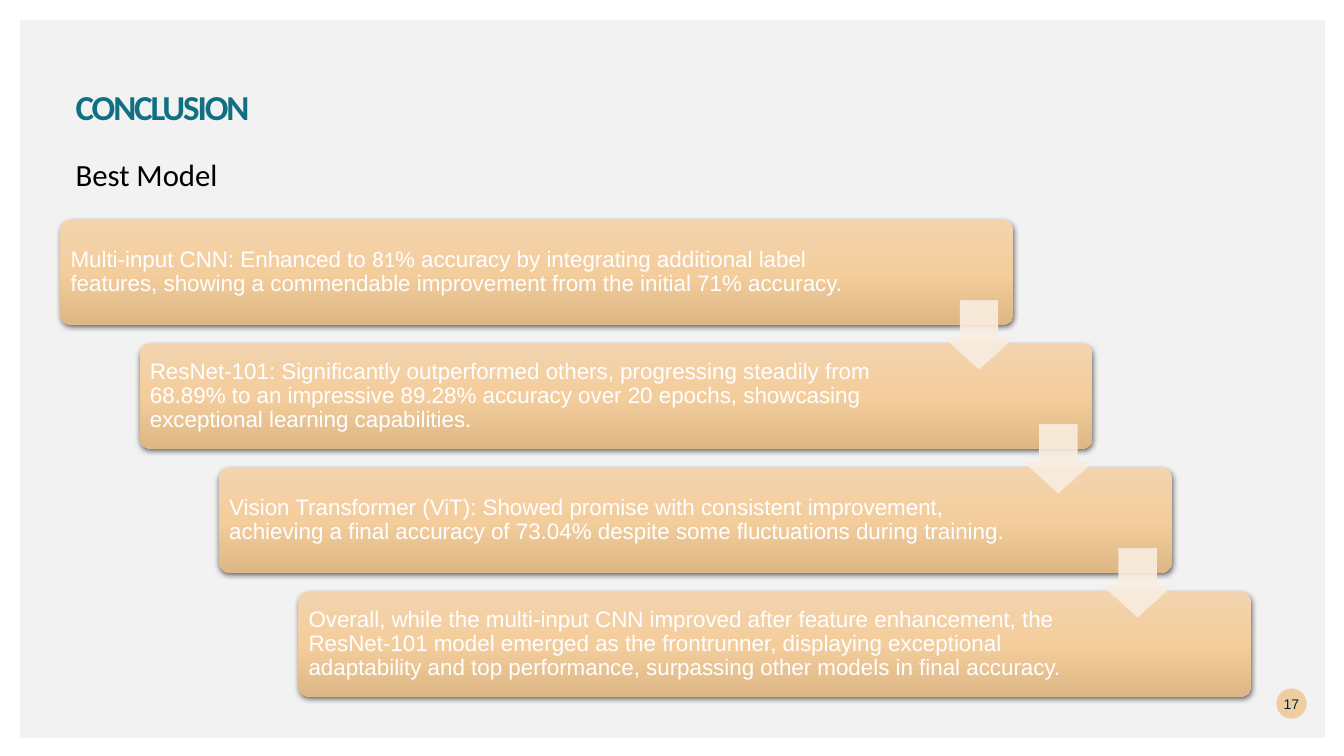
from copy import deepcopy
from dataclasses import dataclass

from lxml.etree import SubElement
from pptx import Presentation
from pptx.dml.color import RGBColor
from pptx.enum.shapes import MSO_SHAPE
from pptx.enum.text import MSO_ANCHOR, MSO_AUTO_SIZE, PP_ALIGN
from pptx.oxml.ns import qn
from pptx.util import Inches, Pt


@dataclass(frozen=True)
class Theme:
    panel: str = "F2F2F2"
    title: str = "107082"
    black: str = "000000"
    white: str = "FFFFFF"
    badge: str = "F0CDA1"
    badge_text: str = "00292E"
    arrow: str = "F9EDE0"
    step: tuple = ("F3D4AE", "F4CD9D", "DEB786")
    heading_font: str = "Calibri"
    body_font: str = "Arial"
    title_size: int = 25
    subtitle_size: int = 22
    step_size: int = 16
    badge_size: int = 10


THEME = Theme()
WIDTH, HEIGHT = 13.33, 7.5
STEPS = [
    [("Multi-input CNN: Enhanced to ", THEME.body_font),
     ("81", THEME.heading_font),
     ("% accuracy by integrating additional label features, showing a commendable "
      "improvement from the initial 71% accuracy.", THEME.body_font)],
    [("ResNet-101: Significantly outperformed others, progressing steadily from "
      "68.89% to an impressive 89.28% accuracy over 20 epochs, showcasing "
      "exceptional learning capabilities.", THEME.body_font)],
    [("Vision Transformer (ViT): Showed promise with consistent improvement, "
      "achieving a final accuracy of 73.04% despite some fluctuations during "
      "training.", THEME.body_font)],
    [("Overall, while the multi-input CNN improved after feature enhancement, the "
      "ResNet-101 model emerged as the frontrunner, displaying exceptional "
      "adaptability and top performance, surpassing other models in final "
      "accuracy.", THEME.body_font)],
]


def set_all(target, values):
    for name, value in values.items():
        setattr(target, name, value)


def place(shape, box):
    names = ("left", "top", "width", "height")
    set_all(shape, dict(zip(names, map(Inches, box))))


def write(shape, runs, size, color, inset=0, anchor=MSO_ANCHOR.TOP,
          bold=False, paragraph_format=None):
    """Fill a shape with one paragraph of (text, font name) runs."""
    margins = ("margin_left", "margin_top", "margin_right", "margin_bottom")
    frame = shape.text_frame
    set_all(frame, {"word_wrap": True, "auto_size": MSO_AUTO_SIZE.NONE,
                    "vertical_anchor": anchor,
                    **dict.fromkeys(margins, Inches(inset))})
    paragraph = frame.paragraphs[0]
    set_all(paragraph, {"alignment": PP_ALIGN.LEFT, **(paragraph_format or {})})
    for text, font_name in runs:
        run = paragraph.add_run()
        run.text = text
        set_all(run.font, {"name": font_name, "size": Pt(size), "bold": bold})
        run.font.color.rgb = RGBColor.from_string(color)
    return paragraph


def add_plain(slide, kind, box, color=None, adjustments=()):
    """Add a preset shape without outline or shadow."""
    shape = slide.shapes.add_shape(kind, *map(Inches, box))
    shape.shadow.inherit = False
    shape.line.fill.background()
    if color:
        shape.fill.solid()
        shape.fill.fore_color.rgb = RGBColor.from_string(color)
    for index, value in enumerate(adjustments):
        shape.adjustments[index] = value
    return shape


def add_alpha(color_element, percent):
    SubElement(color_element, qn("a:alpha"), val=str(percent * 1000))


def fill_gradient(shape, colors):
    shape.fill.gradient()
    shape.fill.gradient_angle = 270
    stop_list = shape.element.spPr.find(".//" + qn("a:gsLst"))
    for _ in range(len(colors) - len(stop_list)):
        stop_list.append(deepcopy(stop_list[0]))
    for index, (stop, color) in enumerate(zip(shape.fill.gradient_stops, colors)):
        stop.position = index / (len(colors) - 1)
        stop.color.rgb = RGBColor.from_string(color)


def add_shadow(shape):
    effects = shape.element.spPr.find(qn("a:effectLst"))
    shadow = SubElement(effects, qn("a:outerShdw"), blurRad=str(Pt(4.5)),
                        dist=str(Pt(1.5)), dir="5400000", rotWithShape="0")
    add_alpha(SubElement(shadow, qn("a:srgbClr"), val=THEME.black), 63)


def add_header(slide, box):
    left, top, width, height = box
    # Title
    title = slide.shapes.title
    place(title, (left, top, width, 0.4))
    paragraph = write(title, [("CONCLUSION", THEME.heading_font)],
                      THEME.title_size, THEME.title, anchor=MSO_ANCHOR.MIDDLE,
                      bold=True, paragraph_format={"line_spacing": 0.9})
    paragraph.runs[0].font.element.set("spc", "-150") if hasattr(
        paragraph.runs[0].font, "element") else paragraph.runs[0]._r.get_or_add_rPr().set("spc", "-150")
    # Subtitle at the foot of the header
    subtitle = slide.shapes.add_textbox(
        *map(Inches, (left, top + height - 0.39, width, 0.39)))
    write(subtitle, [("Best Model", THEME.heading_font)],
          THEME.subtitle_size, THEME.black)


def add_staircase(slide, box, steps):
    left, top, width, height = box
    card_width, card_height, arrow_size, pad = 9.45, 1.04, 0.68, 0.03
    shift = (width - card_width) / (len(steps) - 1)
    pitch = (height - card_height) / (len(steps) - 1)

    # Cards, each with its text
    for index, runs in enumerate(steps):
        x, y = left + index * shift, top + index * pitch
        card = add_plain(slide, MSO_SHAPE.ROUNDED_RECTANGLE,
                         (x, y, card_width, card_height), adjustments=[0.1])
        fill_gradient(card, THEME.step)
        add_shadow(card)
        text_width = 7.92 if index else 8.24
        label = slide.shapes.add_textbox(*map(Inches, (
            x + pad, y + pad, text_width, card_height - 2 * pad)))
        write(label, runs, THEME.step_size, THEME.white, inset=0.07,
              anchor=MSO_ANCHOR.MIDDLE, paragraph_format={"line_spacing": 0.9})

    # Arrows from each card down to the next
    for index in range(len(steps) - 1):
        x = left + index * shift + card_width - arrow_size
        y = top + index * pitch + 0.8
        arrow = add_plain(slide, MSO_SHAPE.DOWN_ARROW,
                          (x, y, arrow_size, arrow_size), THEME.arrow, [0.55, 0.45])
        arrow.line.color.rgb = RGBColor.from_string(THEME.arrow)
        arrow.line.width = Pt(0.5)
        for color in arrow.element.spPr.iter(qn("a:srgbClr")):
            add_alpha(color, 90)


def add_page_badge(slide, box, number):
    badge = add_plain(slide, MSO_SHAPE.OVAL, box, THEME.badge)
    write(badge, [(str(number), THEME.body_font)], THEME.badge_size,
          THEME.badge_text, anchor=MSO_ANCHOR.MIDDLE,
          paragraph_format={"alignment": PP_ALIGN.CENTER})


def build_conclusion(presentation):
    slide = presentation.slides.add_slide(presentation.slide_layouts[5])
    add_plain(slide, MSO_SHAPE.RECTANGLE,
              (0.2, 0.2, WIDTH - 0.39, HEIGHT - 0.38), THEME.panel)
    # Bring the title in front of the panel
    slide.shapes.element.append(slide.shapes.title.element)
    add_header(slide, (0.75, 0.88, 8.27, 1.05))
    add_page_badge(slide, (12.66, 6.83, 0.3, 0.3), 17)
    add_staircase(slide, (0.6, 2.18, 11.81, 4.73), STEPS)


def main():
    presentation = Presentation()
    set_all(presentation, {"slide_width": Inches(WIDTH),
                           "slide_height": Inches(HEIGHT)})
    build_conclusion(presentation)
    presentation.save("out.pptx")


if __name__ == "__main__":
    main()
